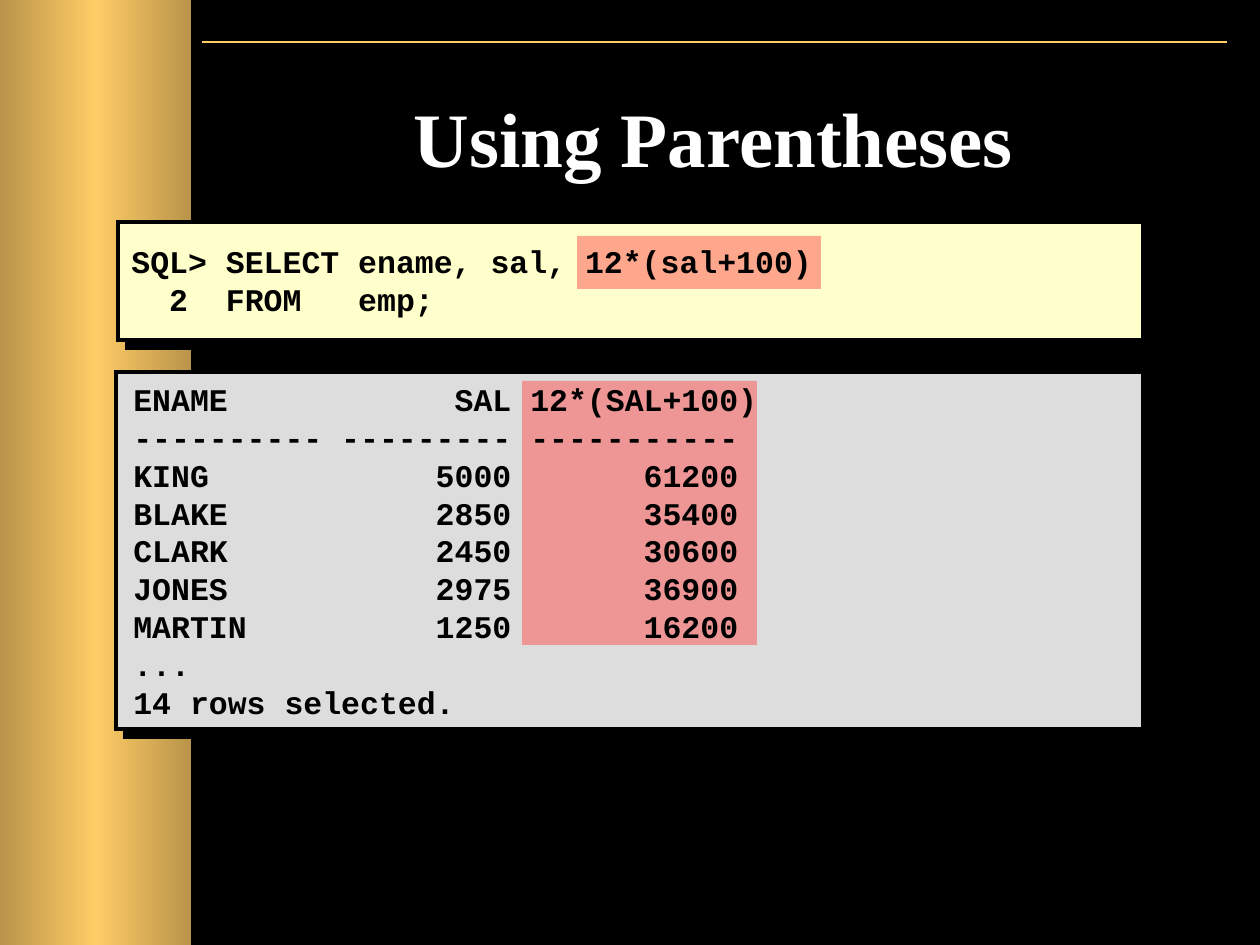
from lxml import etree
from pptx import Presentation, util as u
from pptx.dml.color import RGBColor
from pptx.enum import shapes, text
from pptx.oxml import parse_xml
from pptx.oxml.ns import nsdecls, qn

PX = 914400 / 126
BLACK, WHITE, GOLD, DARK_GOLD, HIGHLIGHT = "000000", "FFFFFF", "FFCC66", "B9944A", "FF5050"

TITLE = "Using Parentheses"
QUERY = ["SQL> SELECT ename, sal, 12*(sal+100)", "  2  FROM   emp;"]
RESULT = [
    "ENAME            SAL 12*(SAL+100)",
    "---------- --------- -----------",
    "KING            5000       61200",
    "BLAKE           2850       35400",
    "CLARK           2450       30600",
    "JONES           2975       36900",
    "MARTIN          1250       16200",
    "...",
    "14 rows selected.",
]
# left, top, width, height in px
PANELS = [((118, 222, 1025, 118), "FFFFCC"), ((116, 372, 1027, 357), "DDDDDD")]
HIGHLIGHTS = [(577, 236, 244, 53), (522, 381, 235, 264)]
# place, lines, anchor
LISTINGS = [
    ((119, 219, 1028, 122), QUERY, text.MSO_ANCHOR.MIDDLE),
    ((121, 374, 1023, 353), RESULT, text.MSO_ANCHOR.TOP),
]


def px(*lengths):
    return [u.Emu(round(length * PX)) for length in lengths]


def color(value):
    return RGBColor.from_string(value)


def add_rect(place, fill):
    rect = page.shapes.add_shape(shapes.MSO_SHAPE.RECTANGLE, *px(*place))
    rect.shadow.inherit = False
    rect.fill.solid()
    rect.fill.fore_color.rgb = color(fill)
    rect.line.fill.background()
    return rect


def add_text(place, lines, font, size, ink, anchor, align):
    box = page.shapes.add_textbox(*px(*place))
    frame = box.text_frame
    frame.word_wrap = True
    frame.vertical_anchor = anchor
    for index, line in enumerate(lines):
        para = frame.paragraphs[0] if index == 0 else frame.add_paragraph()
        para.alignment = align
        span = para.add_run()
        span.text = line
        span.font.name = font
        span.font.size = u.Pt(size)
        span.font.bold = True
        span.font.color.rgb = color(ink)


deck = Presentation()
deck.slide_width, deck.slide_height = px(1260, 945)
page = deck.slides.add_slide(deck.slide_layouts[6])
page.background.fill.solid()
page.background.fill.fore_color.rgb = color(BLACK)

# Top rule
rule = page.shapes.add_connector(shapes.MSO_CONNECTOR.STRAIGHT, *px(202, 42, 1227, 42))
rule.line.color.rgb = color(GOLD)
rule.line.width = u.Pt(1)
etree.SubElement(rule._element.spPr, qn("a:effectLst"))

# Gold side band, lightest in the middle
band = add_rect((0, 0, 191, 945), GOLD)
stops = "".join(
    f'<a:gs pos="{pos}"><a:srgbClr val="{shade}"/></a:gs>'
    for pos, shade in [(0, DARK_GOLD), (50000, GOLD), (100000, DARK_GOLD)])
gradient = parse_xml(
    f'<a:gradFill {nsdecls("a")}><a:gsLst>{stops}</a:gsLst><a:lin ang="0"/></a:gradFill>')
solid = band._element.spPr.find(qn("a:solidFill"))
solid.getparent().replace(solid, gradient)

# Code panels with square corners and hard shadows
for place, fill in PANELS:
    panel = add_rect(place, fill)
    panel.line.color.rgb = color(BLACK)
    panel.line.width = u.Pt(2)
    properties = panel._element.spPr
    etree.SubElement(properties.find(qn("a:ln")), qn("a:miter"), lim="800000")
    properties.find(qn("a:effectLst")).append(parse_xml(
        f'<a:outerShdw {nsdecls("a")} dist="{u.Pt(7.1)}" dir="2700000" algn="ctr" '
        f'rotWithShape="0"><a:srgbClr val="{BLACK}"/></a:outerShdw>'))

# Title
add_text((200, 84, 1027, 158), [TITLE], "Times New Roman", 44, WHITE,
         text.MSO_ANCHOR.TOP, text.PP_ALIGN.CENTER)

# Half-transparent highlights
for place in HIGHLIGHTS:
    mark = add_rect(place, HIGHLIGHT)
    tint = mark._element.spPr.find(qn("a:solidFill"))[0]
    etree.SubElement(tint, qn("a:alpha"), val="50000")

# Query and its result
for place, lines, anchor in LISTINGS:
    add_text(place, lines, "Courier New", 18, BLACK, anchor, text.PP_ALIGN.LEFT)

deck.save("out.pptx")
